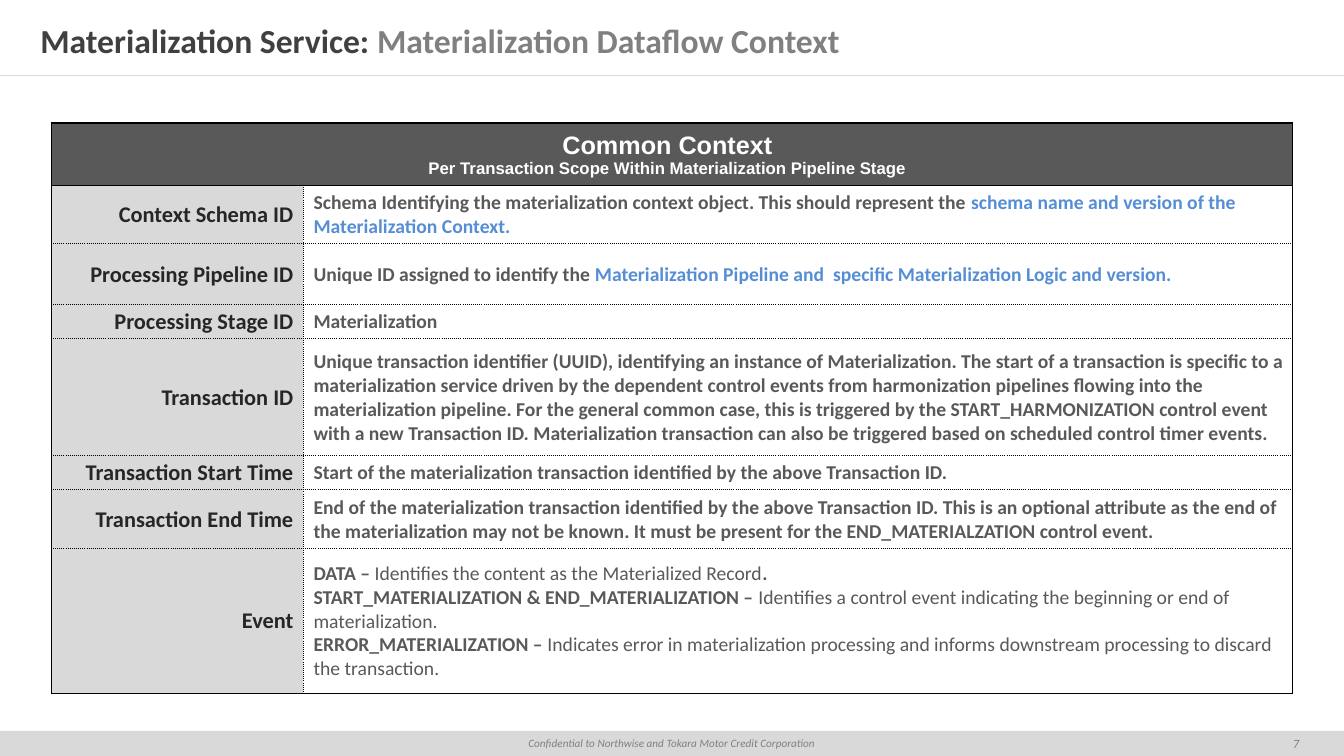
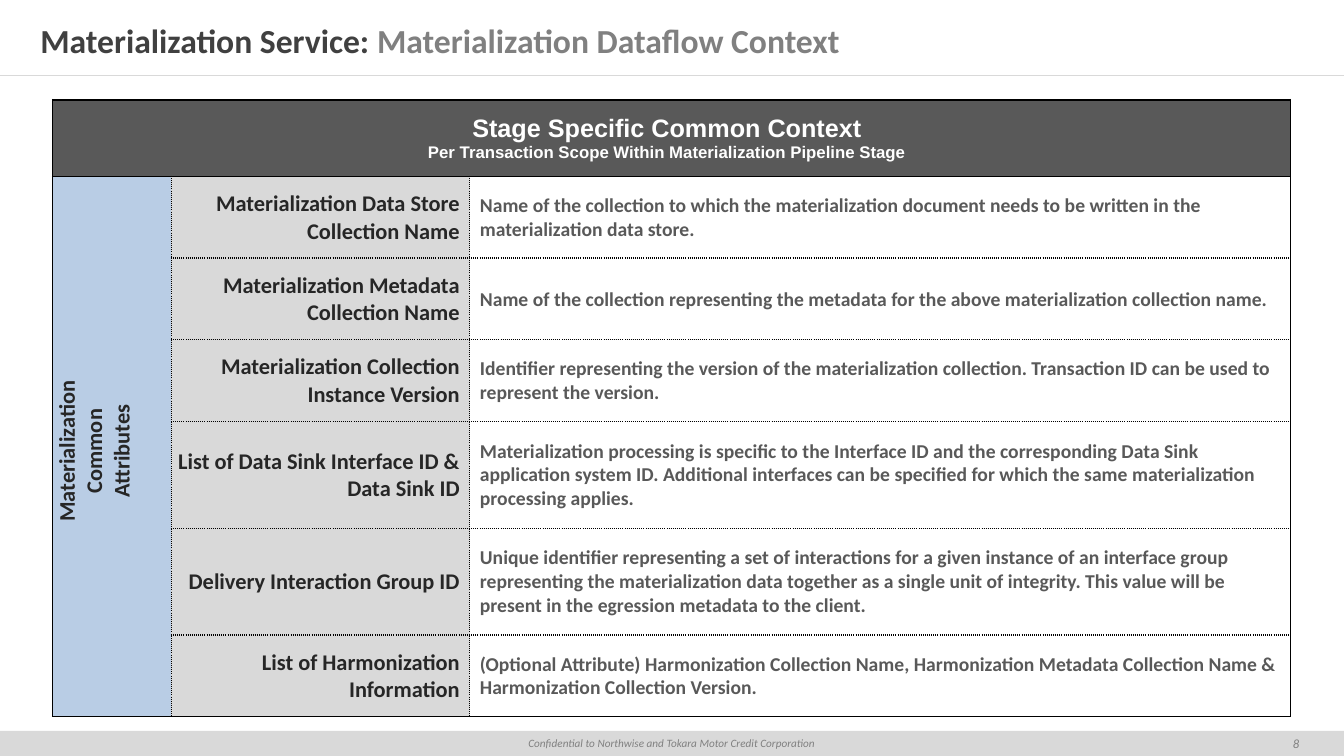
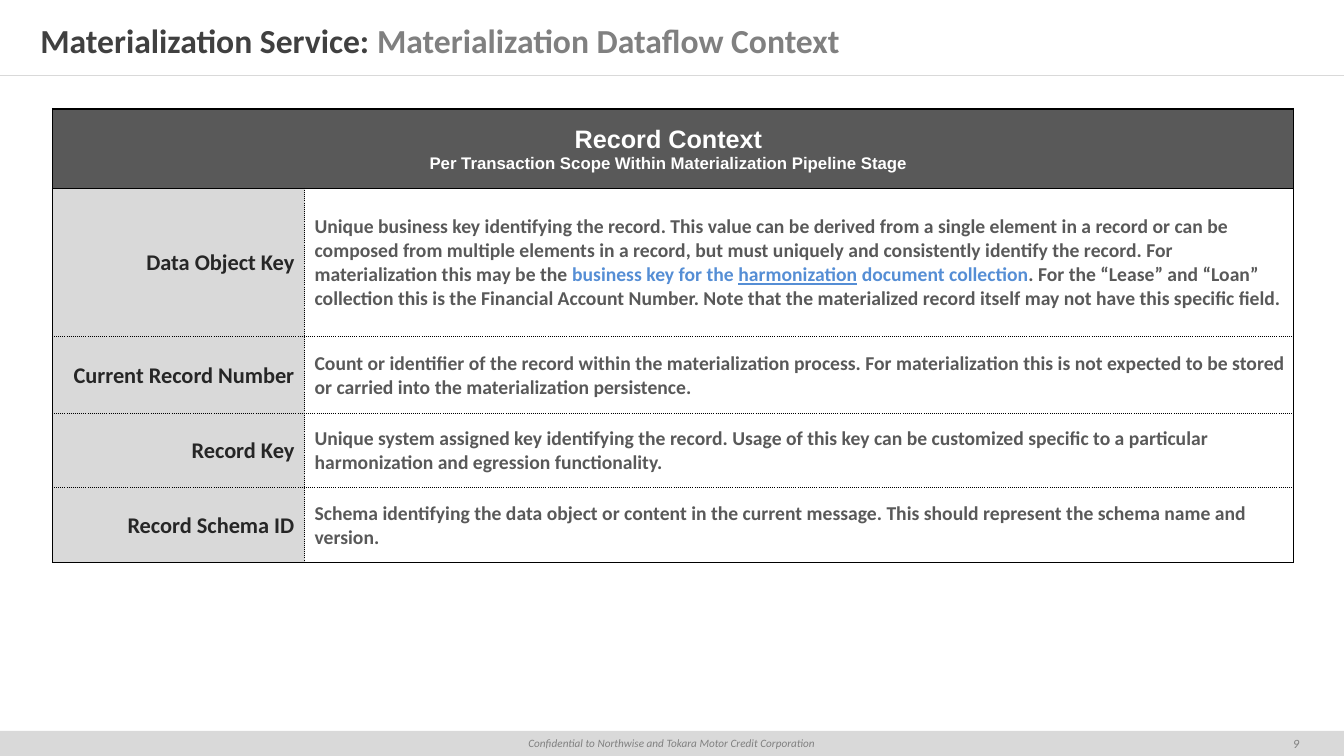
import pptx
import pptx.util
import pptx.dml.color
import pptx.enum.shapes
import pptx.enum.text
import lxml.etree
from pptx.util import Inches

# Shared look
DARK, GREY, BAND = "404040", "808080", "D9D9D9"
HEADER_FILL, LABEL_FILL, GROUP_FILL = "595959", "D9D9D9", "B9CDE5"
LABEL_TEXT, BODY_TEXT, ACCENT = "262626", "595959", "558ED5"
TITLE = [("Materialization Service: ", DARK), ("Materialization Dataflow Context", GREY)]
FOOTER = "Confidential to Northwise and Tokara Motor Credit Corporation"
SUBTITLE = "Per Transaction Scope Within Materialization Pipeline Stage"
FIRST_PAGE = 7
ALIGN = pptx.enum.text.PP_ALIGN
MIDDLE = pptx.enum.text.MSO_ANCHOR.MIDDLE
DRAWING = "{http://schemas.openxmlformats.org/drawingml/2006/main}"

# Run styles in descriptions: colour, bold, underline
STRONG = (BODY_TEXT, True, False)
PLAIN = (BODY_TEXT, False, False)
BLUE = (ACCENT, True, False)
BLUE_UNDERLINED = (ACCENT, True, True)


def colour(code):
    return pptx.dml.color.RGBColor.from_string(code)


def add_span(para, text, size, code, font="Calibri", bold=True, italic=False, underline=False):
    span = para.add_run()
    span.text = text
    span.font.name = font
    span.font.size = pptx.util.Pt(size)
    span.font.bold = bold
    span.font.italic = italic
    span.font.underline = underline
    span.font.color.rgb = colour(code)


# Tables: each row holds its height, its label and its paragraphs of runs
pages = [
    {
        "heading": "Common Context",
        "left": 0.51, "top": 1.22, "columns": [2.5, 9.81], "header_height": 0.62,
        "group": [],
        "rows": [
            (0.58, "Context Schema ID", [[
                ("Schema Identifying the materialization context object. This should represent the ", STRONG),
                ("schema name and version of the Materialization Context.", BLUE)]]),
            (0.6, "Processing Pipeline ID", [[
                ("Unique ID assigned to identify the ", STRONG),
                ("Materialization Pipeline and  specific Materialization Logic and version.", BLUE)]]),
            (0.34, "Processing Stage ID", [[("Materialization", STRONG)]]),
            (1.16, "Transaction ID", [[(
                "Unique transaction identifier (UUID), identifying an instance of Materialization. "
                "The start of a transaction is specific to a materialization service driven by the "
                "dependent control events from harmonization pipelines flowing into the "
                "materialization pipeline. For the general common case, this is triggered by the "
                "START_HARMONIZATION control event with a new Transaction ID. Materialization "
                "transaction can also be triggered based on scheduled control timer events.", STRONG)]]),
            (0.34, "Transaction Start Time", [[(
                "Start of the materialization transaction identified by the above Transaction ID.", STRONG)]]),
            (0.58, "Transaction End Time", [[(
                "End of the materialization transaction identified by the above Transaction ID. "
                "This is an optional attribute as the end of the materialization may not be known. "
                "It must be present for the END_MATERIALZATION control event.", STRONG)]]),
            (1.44, "Event", [
                [("DATA – ", STRONG),
                 ("Identifies the content as the Materialized Record", PLAIN),
                 (".", STRONG)],
                [("START_MATERIALIZATION & END_MATERIALIZATION – ", STRONG),
                 ("Identifies a control event indicating the beginning or end of materialization.", PLAIN)],
                [("ERROR_MATERIALIZATION – ", STRONG),
                 ("Indicates error in materialization processing and informs downstream "
                  "processing to discard the transaction.", PLAIN)]]),
        ],
    },
    {
        "heading": "Stage Specific Common Context",
        "left": 0.52, "top": 0.99, "columns": [1.18, 2.96, 8.14], "header_height": 0.76,
        "group": ["Materialization", "Common", "Attributes"],
        "rows": [
            (0.81, "Materialization Data Store Collection Name", [[(
                "Name of the collection to which the materialization document needs to be "
                "written in the materialization data store.", STRONG)]]),
            (0.81, "Materialization Metadata Collection Name", [[(
                "Name of the collection representing the metadata for the above "
                "materialization collection name.", STRONG)]]),
            (0.81, "Materialization Collection Instance Version", [[(
                "Identifier representing the version of the materialization collection. "
                "Transaction ID can be used to represent the version.", STRONG)]]),
            (1.06, "List of Data Sink Interface ID & Data Sink ID", [[(
                "Materialization processing is specific to the Interface ID and the corresponding "
                "Data Sink application system ID. Additional interfaces can be specified for which "
                "the same materialization processing applies.", STRONG)]]),
            (1.06, "Delivery Interaction Group ID", [[(
                "Unique identifier representing a set of interactions for a given instance of an "
                "interface group representing the materialization data together as a single unit of "
                "integrity. This value will be present in the egression metadata to the client.", STRONG)]]),
            (0.81, "List of Harmonization Information", [[(
                "(Optional Attribute) Harmonization Collection Name, Harmonization Metadata "
                "Collection Name & Harmonization Collection Version.", STRONG)]]),
        ],
    },
    {
        "heading": "Record Context",
        "left": 0.52, "top": 1.08, "columns": [2.5, 9.81], "header_height": 0.79,
        "group": [],
        "rows": [
            (1.47, "Data Object Key", [[
                ("Unique business key identifying the record. This value can be derived from a single "
                 "element in a record or can be composed from multiple elements in a record, but must "
                 "uniquely and consistently identify the record. For materialization this may be the ", STRONG),
                ("business key for the ", BLUE),
                ("harmonization", BLUE_UNDERLINED),
                (" document collection", BLUE),
                (". For the “Lease” and “Loan” collection this is the Financial Account Number. Note "
                 "that the materialized record itself may not have this specific field.", STRONG)]]),
            (0.76, "Current Record Number", [[(
                "Count or identifier of the record within the materialization process. For "
                "materialization this is not expected to be stored or carried into the "
                "materialization persistence.", STRONG)]]),
            (0.74, "Record Key", [[(
                "Unique system assigned key identifying the record. Usage of this key can be "
                "customized specific to a particular harmonization and egression functionality.", STRONG)]]),
            (0.74, "Record Schema ID", [[(
                "Schema identifying the data object or content in the current message. This should "
                "represent the schema name and version.", STRONG)]]),
        ],
    },
]

deck = pptx.Presentation()
deck.slide_width = Inches(13.33)
deck.slide_height = Inches(7.5)

for number, page in enumerate(pages, FIRST_PAGE):
    slide = deck.slides.add_slide(deck.slide_layouts[6])

    # Footer band
    band = slide.shapes.add_shape(pptx.enum.shapes.MSO_SHAPE.RECTANGLE,
                                  0, Inches(7.25), deck.slide_width, Inches(0.25))
    band.shadow.inherit = False
    band.fill.solid()
    band.fill.fore_color.rgb = colour(BAND)
    band.line.fill.background()

    # Rule under the title
    rule = slide.shapes.add_connector(pptx.enum.shapes.MSO_CONNECTOR.STRAIGHT,
                                      0, Inches(0.75), deck.slide_width, Inches(0.75))
    rule.line.color.rgb = colour(BAND)
    rule.line.width = pptx.util.Pt(0.25)
    lxml.etree.SubElement(rule.element.spPr, DRAWING + "effectLst")

    # Title, footer text and page number
    title = slide.shapes.add_textbox(0, Inches(0.16), deck.slide_width, Inches(0.48))
    page_number = slide.shapes.add_textbox(Inches(12.5), Inches(7.25), Inches(0.71), Inches(0.25))
    for box, inset, align in ((title, 0.4, ALIGN.LEFT), (band, 0.1, ALIGN.CENTER),
                              (page_number, 0.1, ALIGN.CENTER)):
        frame = box.text_frame
        frame.word_wrap = True
        frame.vertical_anchor = MIDDLE
        frame.margin_left = frame.margin_right = Inches(inset)
        frame.margin_top = frame.margin_bottom = 0
        frame.paragraphs[0].alignment = align
    for text, code in TITLE:
        add_span(title.text_frame.paragraphs[0], text, 24, code)
    add_span(band.text_frame.paragraphs[0], FOOTER, 8, GREY, bold=False, italic=True)
    add_span(page_number.text_frame.paragraphs[0], str(number), 9, GREY, bold=False, italic=True)

    # Table grid
    columns = page["columns"]
    heights = [page["header_height"]] + [row[0] for row in page["rows"]]
    last_row, last_column = len(heights) - 1, len(columns) - 1
    table = slide.shapes.add_table(len(heights), len(columns),
                                   Inches(page["left"]), Inches(page["top"]),
                                   Inches(sum(columns)), Inches(sum(heights))).table
    table.first_row = False
    table.horz_banding = False
    for column, width in zip(table.columns, columns):
        column.width = Inches(width)
    for row, height in zip(table.rows, heights):
        row.height = Inches(height)
    table.cell(0, 0).merge(table.cell(0, last_column))
    if page["group"]:
        table.cell(1, 0).merge(table.cell(last_row, 0))

    for r in range(last_row + 1):
        for c in range(last_column + 1):
            cell = table.cell(r, c)
            is_body = r > 0 and c == last_column
            is_group = r > 0 and c < last_column - 1

            # Cell contents: paragraphs of (text, size, colour, font, bold, italic, underline)
            if r == 0:
                fill, align = HEADER_FILL, ALIGN.CENTER
                content = [[(page["heading"], 18, "FFFFFF", "Arial")],
                           [(SUBTITLE, 12, "FFFFFF", "Arial")]]
            elif is_body:
                fill, align = None, ALIGN.LEFT
                content = [[(text, 14, code, "Calibri", bold, False, underline)
                            for text, (code, bold, underline) in runs]
                           for runs in page["rows"][r - 1][2]]
            elif is_group:
                fill, align = GROUP_FILL, ALIGN.CENTER
                content = [[(word, 16, LABEL_TEXT)] for word in page["group"]]
            else:
                fill, align = LABEL_FILL, ALIGN.RIGHT
                content = [[(page["rows"][r - 1][1], 16, LABEL_TEXT)]]

            cell.vertical_anchor = MIDDLE
            cell.margin_left = Inches(0.1 if is_body else 0.01)
            cell.margin_right = Inches(0.01 if is_body else 0.1)
            cell.margin_top, cell.margin_bottom = Inches(0.01), 0
            if fill:
                cell.fill.solid()
                cell.fill.fore_color.rgb = colour(fill)
            else:
                cell.fill.background()
            if not cell.is_spanned:
                for index, runs in enumerate(content):
                    para = cell.text_frame.add_paragraph() if index else cell.text_frame.paragraphs[0]
                    para.alignment = align
                    for run in runs:
                        add_span(para, *run)

            # Borders: solid round the table and the header, dotted inside
            bottom, right = r, c
            if cell.is_merge_origin:
                bottom += cell.span_height - 1
                right += cell.span_width - 1
            solid_sides = {"lnL": c == 0, "lnR": right == last_column,
                           "lnT": r <= 1, "lnB": bottom in (0, last_row)}
            properties = cell._tc.get_or_add_tcPr()
            if is_group:
                properties.set("vert", "vert270")
            for position, (side, solid) in enumerate(solid_sides.items()):
                points = 1.5 if r == 0 and side == "lnT" else 1
                border = lxml.etree.Element(DRAWING + side, w=str(pptx.util.Pt(points)))
                paint = lxml.etree.SubElement(border, DRAWING + "solidFill")
                lxml.etree.SubElement(paint, DRAWING + "srgbClr", val="000000")
                lxml.etree.SubElement(border, DRAWING + "prstDash", val="solid" if solid else "sysDot")
                properties.insert(position, border)

deck.save("out.pptx")
